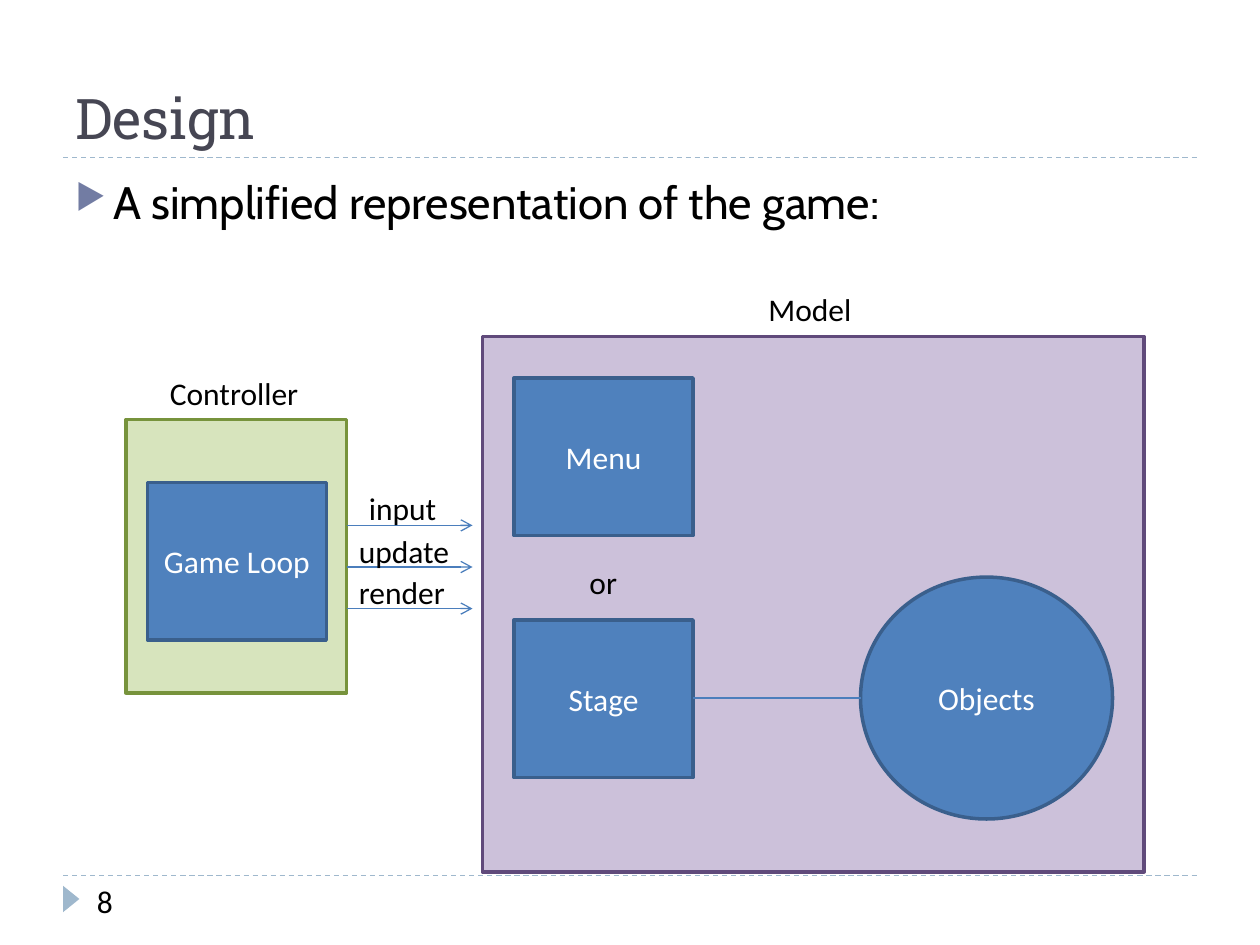
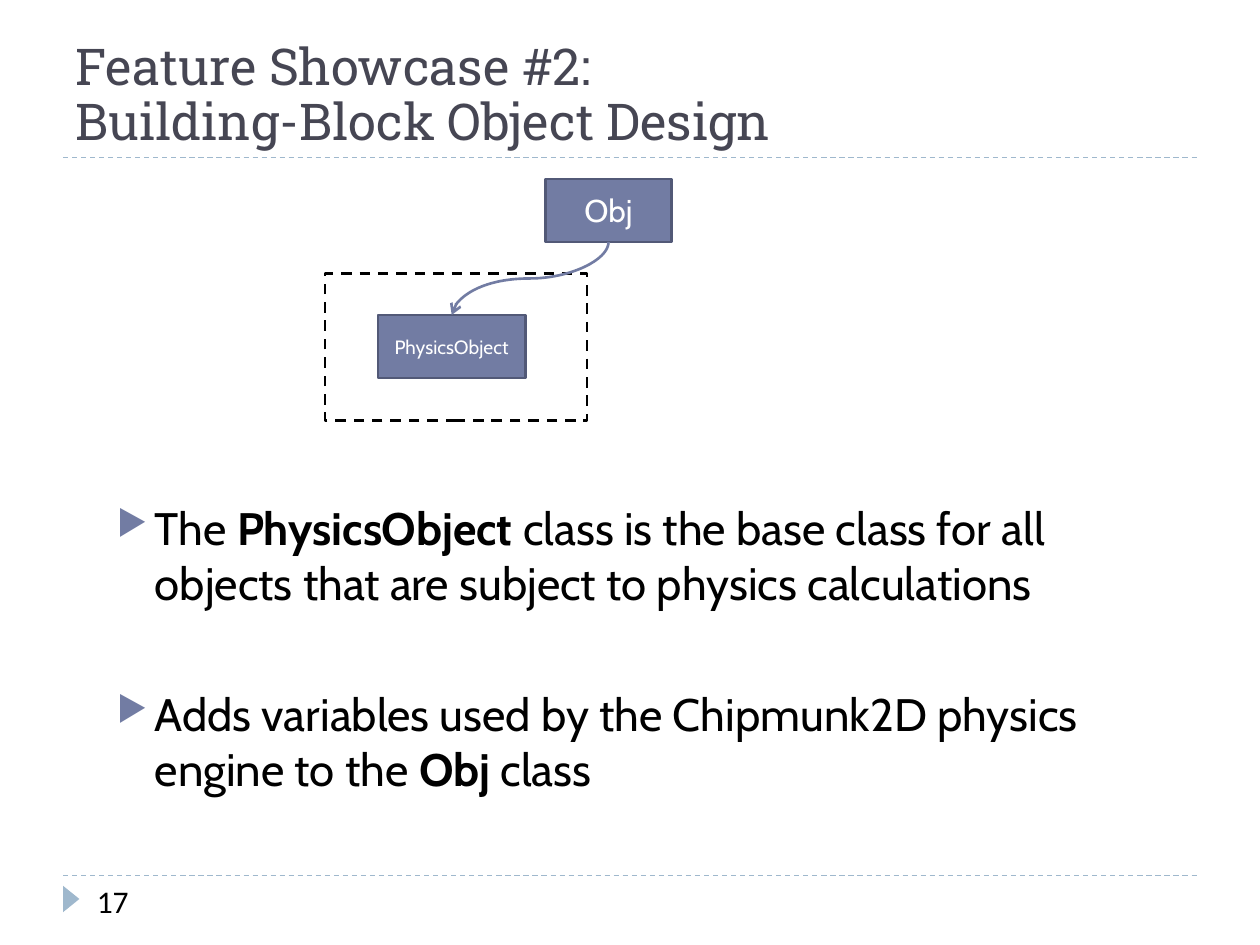
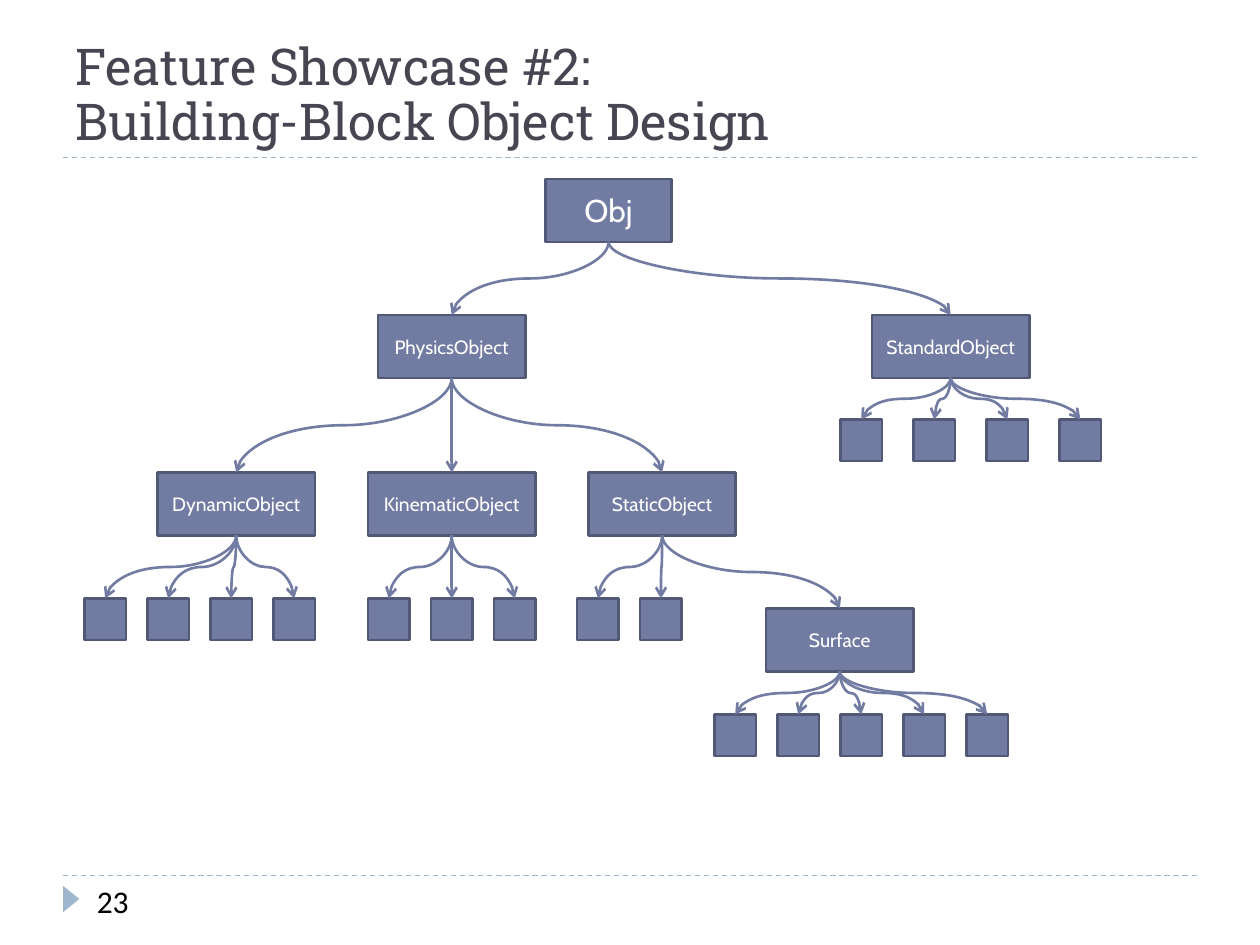
from lxml.etree import SubElement
from pptx import Presentation
from pptx.dml.color import RGBColor
from pptx.enum.dml import MSO_LINE
from pptx.enum.shapes import MSO_CONNECTOR, MSO_SHAPE
from pptx.enum.text import MSO_ANCHOR, PP_ALIGN
from pptx.oxml.ns import qn
from pptx.util import Inches, Pt

COLORS = {
    "black": "000000", "white": "FFFFFF", "title": "464653", "band": "9FB8CD",
    "slate": "727CA3", "slate edge": "525977", "blue": "4F81BD", "blue edge": "3A5F8C",
    "arrow": "4B7EBC", "green": "D7E4BD", "green edge": "77933C",
    "purple": "CCC1DA", "purple edge": "604A7B",
}
RGB = {name: RGBColor.from_string(value) for name, value in COLORS.items()}


def add_block(slide, box, text="", font="Calibri", size=18, ink="black",
              kind=None, fill=None, edge=None, weight=1.5):
    box = [Inches(length) for length in box]
    if kind is None:
        block = slide.shapes.add_textbox(*box)
    else:
        block = slide.shapes.add_shape(kind, *box)
        block.shadow.inherit = False
        if fill:
            block.fill.solid()
            block.fill.fore_color.rgb = RGB[fill]
        else:
            block.fill.background()
        if edge:
            block.line.color.rgb = RGB[edge]
            block.line.width = Pt(weight)
        else:
            block.line.fill.background()
    if text:
        block.text_frame.word_wrap = True
        paragraph = block.text_frame.paragraphs[0]
        paragraph.text = text
        paragraph.font.name = font
        paragraph.font.size = Pt(size)
        paragraph.font.color.rgb = RGB[ink]
        if kind is not None:
            block.text_frame.vertical_anchor = MSO_ANCHOR.MIDDLE
            paragraph.alignment = PP_ALIGN.CENTER
    return block


def add_link(slide, start, end, color, weight=0.75, curved=False, arrow=True):
    (x1, y1), (x2, y2) = start, end
    kind, angle = MSO_CONNECTOR.STRAIGHT, 0
    if curved:
        kind, angle = MSO_CONNECTOR.CURVE, 270 if x2 > x1 else 90
        middle_x, middle_y = (x1 + x2) / 2, (y1 + y2) / 2
        half_width, half_height = (y2 - y1) / 2, abs(x2 - x1) / 2
        if x2 > x1:
            half_width = -half_width
        x1, x2 = middle_x - half_width, middle_x + half_width
        y1, y2 = middle_y - half_height, middle_y + half_height
    link = slide.shapes.add_connector(kind, Inches(x1), Inches(y1), Inches(x2), Inches(y2))
    link.line.color.rgb = RGB[color]
    link.line.width = Pt(weight)
    properties = link._element.spPr
    if angle:
        properties.find(qn("a:xfrm")).set("rot", str(angle * 60000))
    if arrow:
        SubElement(properties.find(qn("a:ln")), qn("a:tailEnd"), type="arrow")
    SubElement(properties, qn("a:effectLst"))
    return link


prs = Presentation()
prs.slide_width = Inches(10)
prs.slide_height = Inches(7.5)

showcase = "Feature Showcase #2:\nBuilding-Block Object Design"
slides = []
for heading, heading_size, number in [("Design", 32, "8"), (showcase, 29, "17"), (showcase, 29, "23")]:
    slide = prs.slides.add_slide(prs.slide_layouts[6])
    slides.append(slide)
    for y in (6.95, 1.25):
        rule = add_link(slide, (0.5, y), (9.5, y), "band", arrow=False)
        rule.line.dash_style = MSO_LINE.DASH
    marker = add_block(slide, (0.46, 7.07, 0.21, 0.13), kind=MSO_SHAPE.ISOSCELES_TRIANGLE, fill="band")
    marker.rotation = 90
    title = add_block(slide, (0.5, 0.17, 9, 1.08), heading, "Roboto Slab", heading_size, "title")
    title.text_frame.vertical_anchor = MSO_ANCHOR.BOTTOM
    title.text_frame.paragraphs[0].line_spacing = 0.9
    add_block(slide, (0.67, 6.95, 2.17, 0.4), number)
design, physics, tree = slides

add_block(design, (1, 3.33, 1.75, 2.17), kind=MSO_SHAPE.RECTANGLE,
          fill="green", edge="green edge", weight=2)
add_block(design, (3.83, 2.67, 5.25, 4.25), kind=MSO_SHAPE.RECTANGLE,
          fill="purple", edge="purple edge", weight=2)
for part, kind, box in [
    ("Game Loop", MSO_SHAPE.RECTANGLE, (1.17, 3.83, 1.42, 1.25)),
    ("Menu", MSO_SHAPE.RECTANGLE, (4.08, 3, 1.42, 1.25)),
    ("Stage", MSO_SHAPE.RECTANGLE, (4.08, 4.92, 1.42, 1.25)),
    ("Objects", MSO_SHAPE.OVAL, (6.83, 4.58, 2, 1.92)),
]:
    add_block(design, box, part, ink="white", kind=kind, fill="blue", edge="blue edge", weight=2)
for y in (4.17, 4.5, 4.83):
    add_link(design, (2.75, y), (3.75, y), "arrow")
add_link(design, (5.5, 5.54), (6.83, 5.54), "arrow", arrow=False)
for label, left, top, width in [
    ("or", 4.58, 4.42, 0.42),
    ("input", 2.83, 3.83, 0.74),
    ("update", 2.75, 4.17, 0.93),
    ("render", 2.75, 4.5, 0.89),
    ("Controller", 1.25, 2.92, 1.23),
    ("Model", 6, 2.25, 0.87),
]:
    add_block(design, (left, top, width, 0.4), label).text_frame.word_wrap = False

bullets = [
    (design, (0.5, 1.33, 9, 5.4), [["A simplified representation of the game:"]]),
    (physics, (0.83, 3.92, 8.58, 4.73), [
        ["The ", "PhysicsObject ",
         "class is the base class for all objects that are subject to physics calculations"],
        ["Adds variables used by the Chipmunk2D physics engine to the ", "Obj ", "class"],
    ]),
]
for slide, box, points in bullets:
    body = add_block(slide, box).text_frame
    body.word_wrap = True
    for index, pieces in enumerate(points):
        point = body.add_paragraph() if index else body.paragraphs[0]
        point.space_before = Pt(44 if index else 6)
        layout = point._p.get_or_add_pPr()
        layout.set("marL", str(Inches(0.3)))
        layout.set("indent", str(-Inches(0.3)))
        SubElement(SubElement(layout, qn("a:buClr")), qn("a:srgbClr"), val=COLORS["slate"])
        SubElement(layout, qn("a:buSzPct"), val="76000")
        SubElement(layout, qn("a:buChar"), char="▶")
        point.font.name = "Cabin"
        point.font.size = Pt(26)
        point.font.color.rgb = RGB["black"]
        for position, piece in enumerate(pieces):
            run = point.add_run()
            run.text = piece
            if position == 1:
                run.font.bold = True

add_block(physics, (2.58, 2.17, 2.08, 1.17), kind=MSO_SHAPE.RECTANGLE,
          edge="black").line.dash_style = MSO_LINE.DASH

classes = {
    "Obj": (4.33, 1.42, 1, None),
    "PhysicsObject": (3, 2.5, 1.17, "Obj"),
    "DynamicObject": (1.25, 3.75, 1.25, "PhysicsObject"),
    "KinematicObject": (2.92, 3.75, 1.33, "PhysicsObject"),
    "StaticObject": (4.67, 3.75, 1.17, "PhysicsObject"),
    "Surface": (6.08, 4.83, 1.17, "StaticObject"),
    "StandardObject": (6.92, 2.5, 1.25, "Obj"),
}
class_height = 0.5
exits = {name: (left + width / 2, top + class_height)
         for name, (left, top, width, parent) in classes.items()}
for slide, names in [(physics, ["Obj", "PhysicsObject"]), (tree, classes)]:
    for name in names:
        left, top, width, parent = classes[name]
        add_block(slide, (left, top, width, class_height), name, "Cabin", 11 if parent else 18,
                  "white", MSO_SHAPE.RECTANGLE, "slate", "slate edge")
        if parent:
            add_link(slide, exits[parent], (left + width / 2, top), "slate", 1.5, curved=True)

leaf_side = 0.33
for parent, first, top, count, pitch in [
    ("DynamicObject", 0.67, 4.75, 4, 0.5),
    ("KinematicObject", 2.92, 4.75, 3, 0.5),
    ("StaticObject", 4.58, 4.75, 2, 0.5),
    ("Surface", 5.67, 5.67, 5, 0.5),
    ("StandardObject", 6.67, 3.33, 4, 0.58),
]:
    for index in range(count):
        left = first + index * pitch
        add_block(tree, (left, top, leaf_side, leaf_side), kind=MSO_SHAPE.RECTANGLE,
                  fill="slate", edge="slate edge")
        add_link(tree, exits[parent], (left + leaf_side / 2, top), "slate", 1.5, curved=True)

prs.save("out.pptx")
